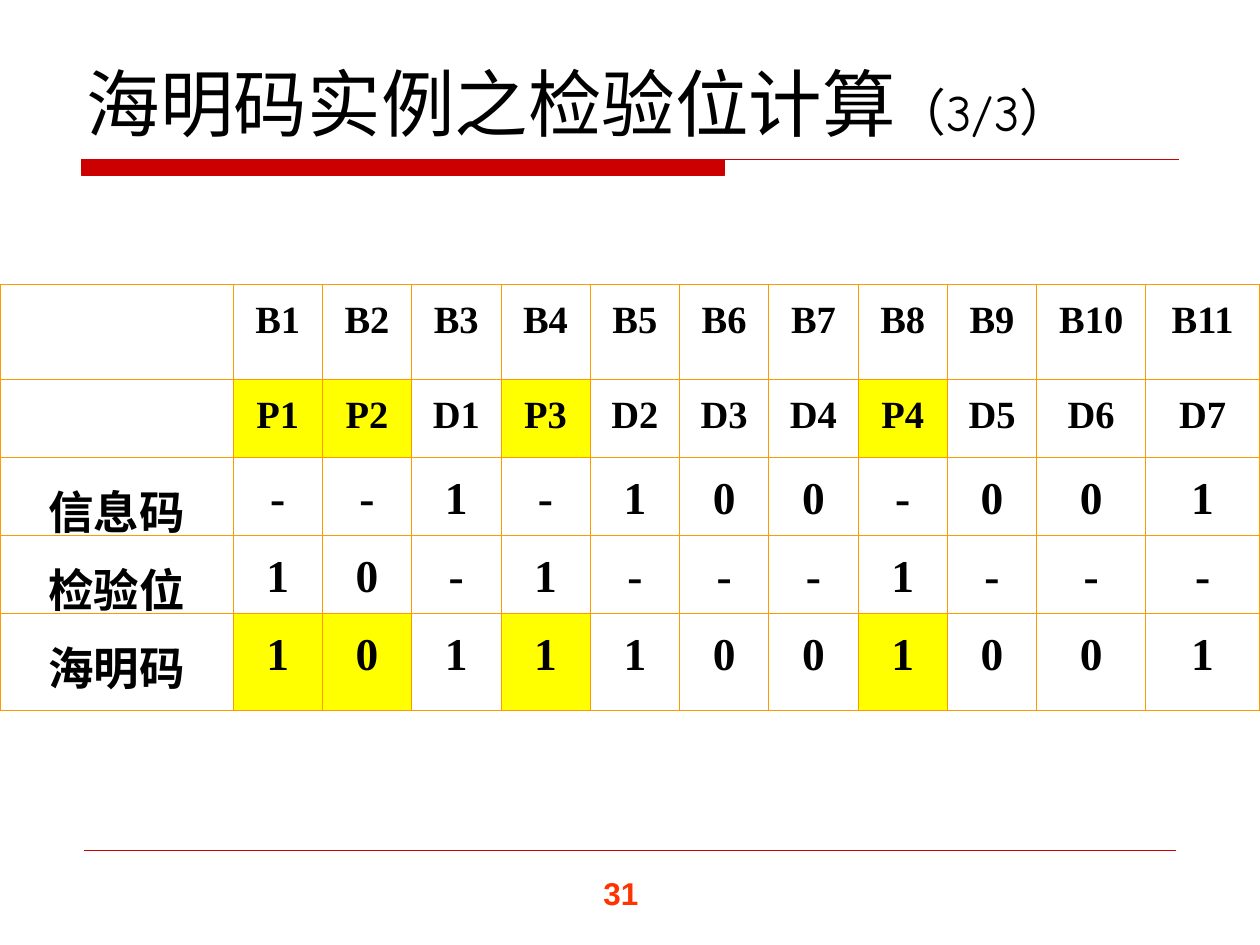
from pptx import Presentation
from pptx.dml.color import RGBColor
from pptx.enum import text
from pptx.oxml import parse_xml
from pptx.oxml.ns import nsdecls
from pptx.util import Pt

RED = RGBColor(0xCC, 0x00, 0x00)
ORANGE = RGBColor(0xFF, 0x99, 0x00)
PAGE_ORANGE = RGBColor(0xFF, 0x33, 0x00)
YELLOW = RGBColor(0xFF, 0xFF, 0x00)
BLACK = RGBColor(0x00, 0x00, 0x00)

TITLE = [("海明码实例之检验位计算", 42), ("（3/3）", 29)]
PAGE_NUMBER = "31"
ROWS = [
    ["", "B1", "B2", "B3", "B4", "B5", "B6", "B7", "B8", "B9", "B10", "B11"],
    ["", "P1", "P2", "D1", "P3", "D2", "D3", "D4", "P4", "D5", "D6", "D7"],
    ["信息码", "-", "-", "1", "-", "1", "0", "0", "-", "0", "0", "1"],
    ["检验位", "1", "0", "-", "1", "-", "-", "-", "1", "-", "-", "-"],
    ["海明码", "1", "0", "1", "1", "1", "0", "0", "1", "0", "0", "1"],
]
HEADER_ROWS = 2
HIGHLIGHT_ROWS = (1, 4)
CHECK_COLUMNS = (1, 2, 4, 8)
COLUMN_WIDTHS = [133.2] + [51.05] * 9 + [62.35, 65]
ROW_HEIGHTS = [54.4, 44.6, 44.6, 44.6, 55.4]
TABLE_TOP = 162.3
BORDER_WIDTH = 0.45

TITLE_FORMAT = {"name": "Comic Neue", "bold": False}
CELL_FORMAT = {"name": "Times New Roman", "bold": True}
PAGE_FORMAT = {"name": "Arial", "bold": True, "size": Pt(18)}


def add_span(para, words, color, formats):
    span = para.add_run()
    span.text = words
    for key, value in formats.items():
        setattr(span.font, key, value)
    span.font.color.rgb = color


def add_borders(cell):
    properties = cell._tc.get_or_add_tcPr()
    for index, side in enumerate(("lnL", "lnR", "lnT", "lnB")):
        properties.insert(index, parse_xml(
            f'<a:{side} {nsdecls("a")} w="{Pt(BORDER_WIDTH)}"><a:solidFill>'
            f'<a:srgbClr val="{ORANGE}"/></a:solidFill></a:{side}>'))


def add_title(page):
    box = page.shapes.title
    box.left, box.top, box.width, box.height = map(Pt, (42.5, 9.4, 639.4, 77.8))
    frame = box.text_frame
    frame.auto_size = text.MSO_AUTO_SIZE.NONE
    frame.vertical_anchor = text.MSO_ANCHOR.BOTTOM
    para = frame.paragraphs[0]
    para.alignment = text.PP_ALIGN.LEFT
    for words, size in TITLE:
        add_span(para, words, BLACK, {**TITLE_FORMAT, "size": Pt(size)})


def add_rules(page):
    left, top, bar_right, right, bottom = map(Pt, (46.8, 91.2, 414, 673.7, 100))
    builder = page.shapes.build_freeform(left, top)
    builder.add_line_segments(
        [(bar_right, top), (bar_right, bottom), (left, bottom)], close=True)
    builder.move_to(left, top)
    builder.add_line_segments([(right, top)], close=False)
    title_rule = builder.convert_to_shape()
    title_rule.shadow.inherit = False
    title_rule.fill.solid()
    title_rule.fill.fore_color.rgb = RED
    title_rule.line.color.rgb = RED
    title_rule.line.width = Pt(0.75)

    footer_rule = page.shapes.add_connector(1, Pt(48), Pt(486), Pt(672), Pt(486))
    footer_rule.line.color.rgb = RED
    footer_rule.line.width = Pt(0.25)
    footer_rule._element.spPr.append(parse_xml(f'<a:effectLst {nsdecls("a")}/>'))


def add_page_number(page):
    box = page.shapes.add_textbox(Pt(337.7), Pt(496), Pt(54), Pt(28.8))
    box.text_frame.word_wrap = True
    add_span(box.text_frame.paragraphs[0], PAGE_NUMBER, PAGE_ORANGE, PAGE_FORMAT)


def add_code_table(page):
    table = page.shapes.add_table(
        len(ROWS), len(COLUMN_WIDTHS), Pt(0), Pt(TABLE_TOP),
        Pt(sum(COLUMN_WIDTHS)), Pt(sum(ROW_HEIGHTS))).table
    table.first_row = table.horz_banding = False
    for column, width in zip(table.columns, COLUMN_WIDTHS):
        column.width = Pt(width)
    for r, (row, height) in enumerate(zip(ROWS, ROW_HEIGHTS)):
        table.rows[r].height = Pt(height)
        size = Pt(22 if r < HEADER_ROWS else 26)
        for c, words in enumerate(row):
            cell = table.cell(r, c)
            if r in HIGHLIGHT_ROWS and c in CHECK_COLUMNS:
                cell.fill.solid()
                cell.fill.fore_color.rgb = YELLOW
            else:
                cell.fill.background()
            add_borders(cell)
            if words:
                para = cell.text_frame.paragraphs[0]
                para.alignment = text.PP_ALIGN.CENTER
                para.line_spacing = 1.2
                add_span(para, words, BLACK, {**CELL_FORMAT, "size": size})


def main():
    deck = Presentation()
    deck.slide_width, deck.slide_height = Pt(720), Pt(540)
    page = deck.slides.add_slide(deck.slide_layouts[5])
    add_rules(page)
    add_page_number(page)
    add_title(page)
    add_code_table(page)
    deck.save("out.pptx")


if __name__ == "__main__":
    main()
